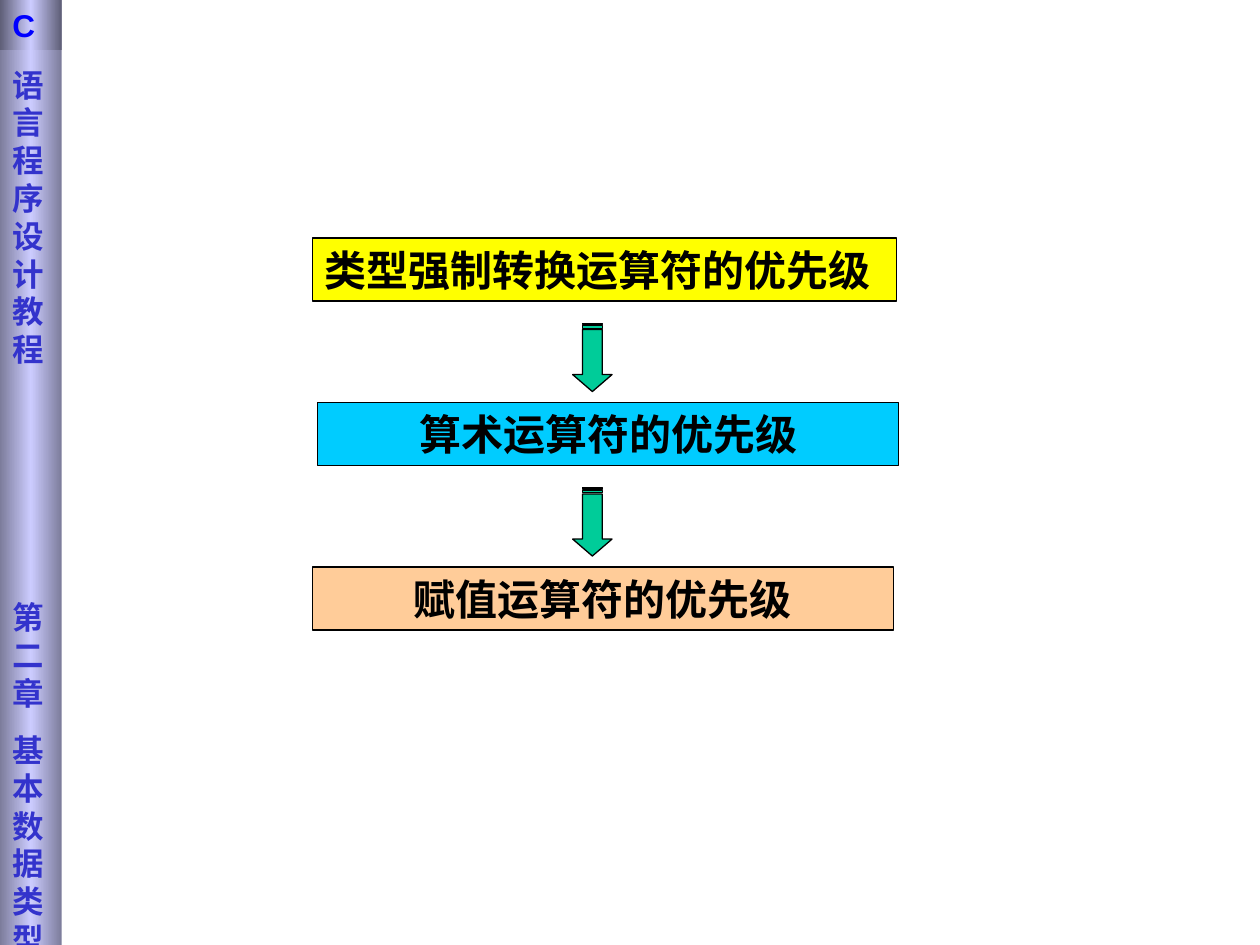
from copy import deepcopy
from dataclasses import dataclass

from pptx import Presentation
from pptx.dml.color import RGBColor as RGB
from pptx.enum.shapes import MSO_SHAPE as Geo
from pptx.enum.text import MSO_ANCHOR as Anchor, PP_ALIGN as Align
from pptx.oxml.ns import qn
from pptx.shapes.autoshape import Shape
from pptx.slide import Slide
from pptx.util import Pt


@dataclass(frozen=True)
class Theme:
    black: str = "000000"
    blue: str = "0000FF"
    indigo: str = "3333CC"
    lilac: str = "CCCCFF"
    dusk: str = "7C7C9B"
    dark: str = "5E5E76"
    yellow: str = "FFFF00"
    sky: str = "00CCFF"
    peach: str = "FFCC99"
    green: str = "00CC99"
    small: float = 18
    large: float = 24
    lead: float = 1.2
    rule: float = 0.75


@dataclass(frozen=True)
class Font:
    name: str
    size: float
    color: str


@dataclass(frozen=True)
class Line:
    text: str
    gap: float = 0


@dataclass(frozen=True)
class Band:
    height: float
    edge: str
    inset: float
    font: Font
    lines: tuple[Line, ...]


@dataclass(frozen=True)
class Level:
    text: str
    left: float
    width: float
    fill: str
    align: Align = Align.CENTER


THEME = Theme()
SIDE = Font("DejaVu Sans", THEME.small, THEME.indigo)
MARK = Font("Arial", THEME.small, THEME.blue)
BODY = Font("Times New Roman", THEME.large, THEME.black)
SIDE_W = 35.3
TOP, PITCH, BOX_H = 136, 94, 36
ARROW_X, ARROW_Y, ARROW_W, ARROW_H = 319, 193, 39, 22.5

BANDS = (
    Band(540, THEME.dusk, 37.5, SIDE, (
        Line("语言程序设计教程"),
        Line("第二章", 131.5),
        Line("基本数据类型", 11.2),
    )),
    Band(28.8, THEME.dark, 3.6, MARK, (Line("C"),)),
)
LEVELS = (
    Level("类型强制转换运算符的优先级", 178.5, 334, THEME.yellow, Align.LEFT),
    Level("算术运算符的优先级", 181.5, 332, THEME.sky),
    Level("赋值运算符的优先级", 178.5, 332, THEME.peach),
)


def add_form(slide: Slide, geo: Geo, left: float, top: float,
             width: float, height: float) -> Shape:
    form = slide.shapes.add_shape(geo, Pt(left), Pt(top), Pt(width), Pt(height))
    form.shadow.inherit = False
    return form


def paint(form: Shape, color: str) -> None:
    """Give a solid fill and the thin black outline."""
    form.fill.solid()
    form.fill.fore_color.rgb = RGB.from_string(color)
    form.line.color.rgb = RGB.from_string(THEME.black)
    form.line.width = Pt(THEME.rule)


def shade(form: Shape, edge: str) -> None:
    """Fill from edge colour to lilac and back, left to right."""
    form.line.fill.background()
    form.fill.gradient()
    form.fill.gradient_angle = 0
    stops = form._element.spPr.find(qn("a:gradFill")).find(qn("a:gsLst"))
    stops.append(deepcopy(stops[-1]))
    for i, color in enumerate((edge, THEME.lilac, edge)):
        stop = form.fill.gradient_stops[i]
        stop.position = i / 2
        stop.color.rgb = RGB.from_string(color)


def write(form: Shape, lines: tuple[Line, ...], font: Font,
          align: Align = Align.LEFT, inset: float = 3.6) -> None:
    frame = form.text_frame
    frame.word_wrap = True
    frame.vertical_anchor = Anchor.TOP
    frame.margin_top = Pt(inset)
    for i, line in enumerate(lines):
        para = frame.add_paragraph() if i else frame.paragraphs[0]
        para.alignment = align
        para.space_before = Pt(line.gap)
        para.line_spacing = Pt(font.size * THEME.lead)
        run = para.add_run()
        run.text = line.text
        run.font.name = font.name
        run.font.size = Pt(font.size)
        run.font.bold = True
        run.font.color.rgb = RGB.from_string(font.color)


def add_band(slide: Slide, band: Band) -> None:
    form = add_form(slide, Geo.RECTANGLE, 0, 0, SIDE_W, band.height)
    shade(form, band.edge)
    write(form, band.lines, band.font, inset=band.inset)


def add_level(slide: Slide, level: Level, top: float) -> None:
    form = add_form(slide, Geo.RECTANGLE, level.left, top, level.width, BOX_H)
    paint(form, level.fill)
    write(form, (Line(level.text),), BODY, level.align)


def add_arrow(slide: Slide, top: float) -> None:
    form = add_form(slide, Geo.STRIPED_RIGHT_ARROW, ARROW_X, top, ARROW_W, ARROW_H)
    form.rotation = 90
    form.adjustments[0] = 0.5
    form.adjustments[1] = 0.43
    paint(form, THEME.green)


def main() -> None:
    deck = Presentation()
    deck.slide_width, deck.slide_height = Pt(720), Pt(540)
    slide = deck.slides.add_slide(deck.slide_layouts[6])
    for band in BANDS:
        add_band(slide, band)
    for i, level in enumerate(LEVELS):
        add_level(slide, level, TOP + i * PITCH)
    for i in range(len(LEVELS) - 1):
        add_arrow(slide, ARROW_Y + i * PITCH)
    deck.save("out.pptx")


if __name__ == "__main__":
    main()
